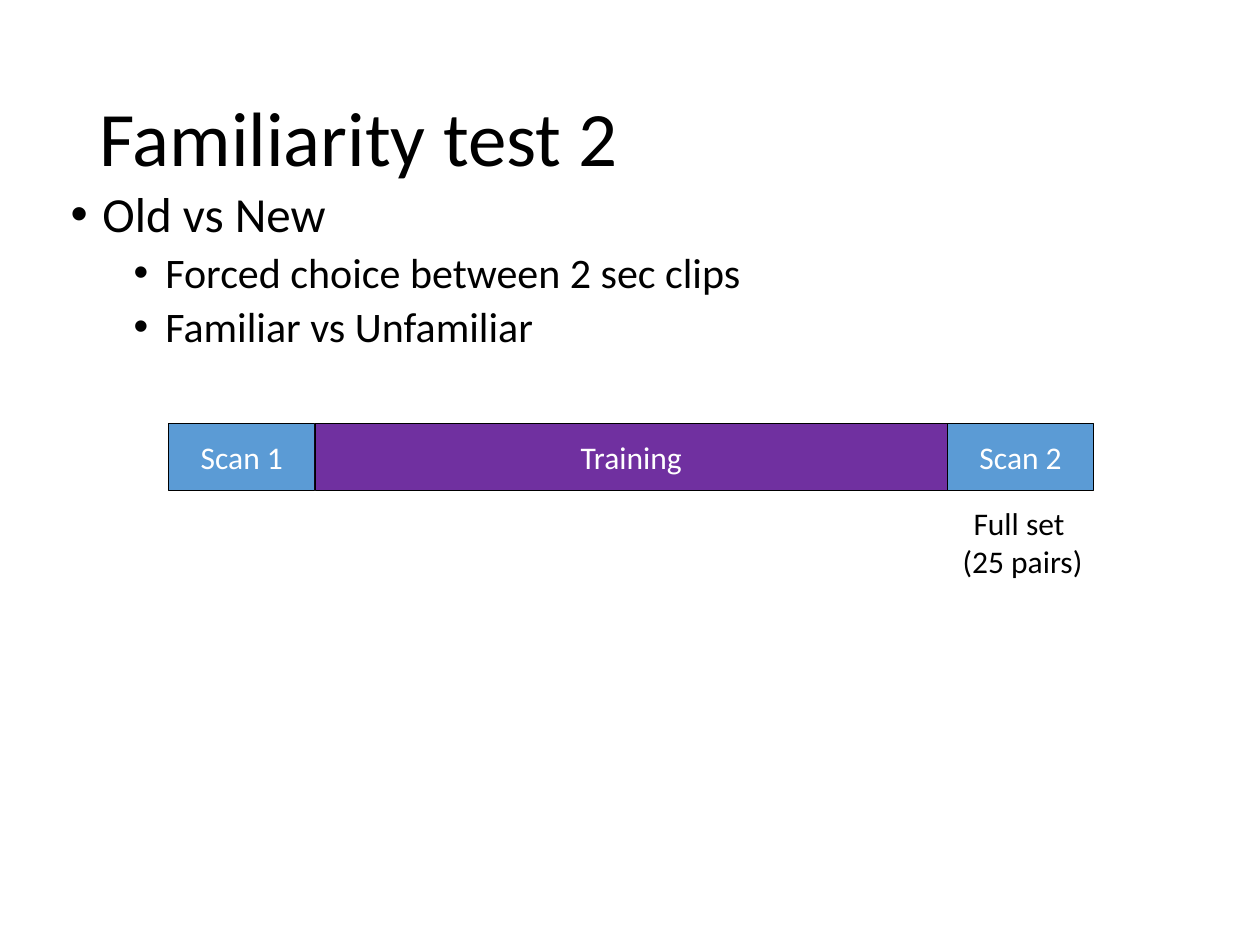
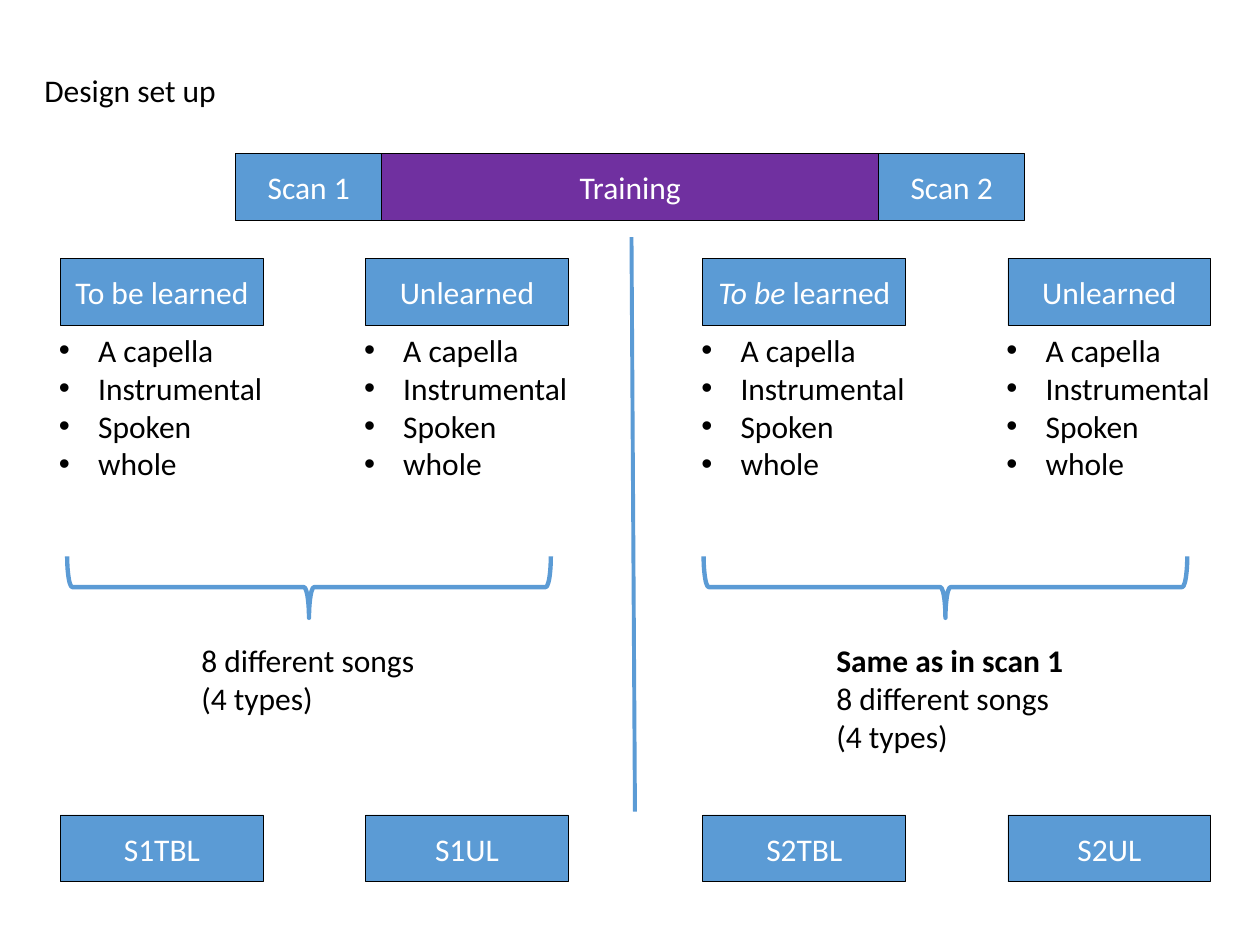
from lxml import etree
from pptx import Presentation
from pptx.dml.color import RGBColor
from pptx.enum import shapes, text
from pptx.oxml import ns
from pptx.util import Cm, Pt

BLUE = RGBColor(0x5B, 0x9B, 0xD5)
PURPLE = RGBColor(0x70, 0x30, 0xA0)
BLACK = RGBColor(0, 0, 0)
WHITE = RGBColor(255, 255, 255)
FONT = "Calibri"
TITLE_CONTENT, TITLE_ONLY = 1, 5
BOX_HEIGHT = Cm(1.35)
SCAN_WIDTH = Cm(2.95)
LEFT, CENTER = text.PP_ALIGN.LEFT, text.PP_ALIGN.CENTER


class Builder:
    def __init__(self):
        self.deck = Presentation()
        self.deck.slide_width, self.deck.slide_height = Cm(25.4), Cm(19.05)
        self.page = None

    def new_page(self, layout):
        self.page = self.deck.slides.add_slide(self.deck.slide_layouts[layout])

    @staticmethod
    def place(shape, left, top, width, height):
        shape.left, shape.top, shape.width, shape.height = left, top, width, height

    @staticmethod
    def style(para, size=18, color=BLACK, align=LEFT):
        para.alignment = align
        para.font.name = FONT
        para.font.size = Pt(size)
        para.font.color.rgb = color

    @staticmethod
    def bullet(para, indent, hanging):
        """Give a paragraph a round bullet; call before styling it."""
        properties = para._p.get_or_add_pPr()
        properties.set("marL", str(indent))
        properties.set("indent", str(-hanging))
        etree.SubElement(properties, ns.qn("a:buFont")).set("typeface", "Arial")
        etree.SubElement(properties, ns.qn("a:buChar")).set("char", "•")

    @staticmethod
    def paragraphs(frame, lines):
        """Write one paragraph per line and yield each with its index."""
        for index, line in enumerate(lines):
            para = frame.paragraphs[0] if index == 0 else frame.add_paragraph()
            para.text = line
            yield index, para

    def title(self, wording, left, top, width, height, size=44, spacing=0.9):
        shape = self.page.shapes.title
        self.place(shape, left, top, width, height)
        shape.text_frame.vertical_anchor = text.MSO_ANCHOR.MIDDLE
        para = shape.text_frame.paragraphs[0]
        para.text = wording
        para.line_spacing = spacing
        self.style(para, size)

    def body(self, items, left, top, width, height):
        """Fill the body placeholder with (level, wording) items."""
        shape = self.page.placeholders[1]
        self.place(shape, left, top, width, height)
        wordings = [wording for _, wording in items]
        for index, para in self.paragraphs(shape.text_frame, wordings):
            para.level = level = items[index][0]
            self.bullet(para, Cm(0.64 + 1.27 * level), Cm(0.64))
            para.line_spacing = 0.9
            para.space_before = Pt(5 if level else 10)
            self.style(para, 24 if level else 28)

    def label(self, lines, left, top, width, height, align=LEFT, bullets=False):
        frame = self.page.shapes.add_textbox(left, top, width, height).text_frame
        frame.word_wrap = False
        frame.auto_size = text.MSO_AUTO_SIZE.SHAPE_TO_FIT_TEXT
        for _, para in self.paragraphs(frame, lines):
            if bullets:
                self.bullet(para, Cm(0.79), Cm(0.79))
            self.style(para, align=align)
        return frame

    def box(self, spans, left, top, width, fill=BLUE):
        """Draw a captioned box; spans are (wording, italic) pairs."""
        shape = self.page.shapes.add_shape(
            shapes.MSO_SHAPE.RECTANGLE, left, top, width, BOX_HEIGHT)
        shape.shadow.inherit = False
        shape.fill.solid()
        shape.fill.fore_color.rgb = fill
        shape.line.color.rgb = BLACK
        shape.line.width = Pt(0.5)
        shape.text_frame.word_wrap = True
        shape.text_frame.vertical_anchor = text.MSO_ANCHOR.MIDDLE
        para = shape.text_frame.paragraphs[0]
        self.style(para, color=WHITE, align=CENTER)
        for wording, italic in spans:
            span = para.add_run()
            span.text = wording
            if italic:
                span.font.italic = True

    def timeline(self, left, top, training_width):
        for wording, width, fill in (("Scan 1", SCAN_WIDTH, BLUE),
                                     ("Training", training_width, PURPLE),
                                     ("Scan 2", SCAN_WIDTH, BLUE)):
            self.box([(wording, False)], left, top, width, fill)
            left += width

    def brace(self, left, top, width, height):
        """Draw a brace that opens upwards; the size is that before turning."""
        shape = self.page.shapes.add_shape(
            shapes.MSO_SHAPE.LEFT_BRACE, left, top, width, height)
        shape.rotation = 270
        shape.shadow.inherit = False
        shape.fill.background()
        shape.line.color.rgb = BLUE
        shape.line.width = Pt(2.5)

    def line(self, *ends):
        connector = self.page.shapes.add_connector(shapes.MSO_CONNECTOR.STRAIGHT, *ends)
        connector.line.color.rgb = BLUE
        connector.line.width = Pt(2.25)
        etree.SubElement(connector._element.spPr, ns.qn("a:effectLst"))


def familiarity_page(builder):
    builder.new_page(TITLE_CONTENT)
    builder.title("Familiarity test 2", Cm(1.75), Cm(1.02), Cm(21.9), Cm(3.68))
    builder.body([(0, "Old vs New"),
                  (1, "Forced choice between 2 sec clips"),
                  (1, "Familiar vs Unfamiliar")],
                 Cm(1.17), Cm(3.71), Cm(22.89), Cm(12.09))
    builder.label(["Full set ", "(25 pairs)"],
                  Cm(19), Cm(10.03), Cm(3.23), Cm(1.8), CENTER)
    builder.timeline(Cm(3.4), Cm(8.53), Cm(12.75))


def design_page(builder):
    builder.new_page(TITLE_ONLY)
    builder.title("Design set up", Cm(0.64), Cm(1.3), Cm(5), Cm(1.02), 18, 1.0)
    builder.timeline(Cm(4.75), Cm(3.1), Cm(10.01))

    unlearned = [("Unlearned", False)]
    conditions = (
        (Cm(1.22), [("To be learned", False)], "S1TBL"),
        (Cm(7.37), unlearned, "S1UL"),
        (Cm(14.17), [("To be", True), (" learned", False)], "S2TBL"),
        (Cm(20.32), unlearned, "S2UL"),
    )
    song_types = ["A capella", "Instrumental", "Spoken", "whole"]
    for left, heading, code in conditions:
        builder.box(heading, left, Cm(5.21), Cm(4.09))
        builder.label(song_types, left - Cm(0.28), Cm(6.55), Cm(4.65), Cm(3.33),
                      bullets=True)
        builder.box([(code, False)], left, Cm(16.43), Cm(4.09))

    songs = ["8 different songs", "(4 types)"]
    for brace_left in (Cm(5.61), Cm(18.44)):
        builder.brace(brace_left, Cm(6.96), Cm(1.24), Cm(9.75))
    builder.label(songs, Cm(3.81), Cm(12.8), Cm(4.88), Cm(1.8))
    same_songs = builder.label(["Same as in scan 1"] + songs,
                               Cm(16.61), Cm(12.8), Cm(5.13), Cm(2.57))
    same_songs.paragraphs[0].runs[0].font.bold = True
    builder.line(Cm(12.73), Cm(4.78), Cm(12.8), Cm(16.36))


def main():
    builder = Builder()
    familiarity_page(builder)
    design_page(builder)
    builder.deck.save("out.pptx")


if __name__ == "__main__":
    main()
